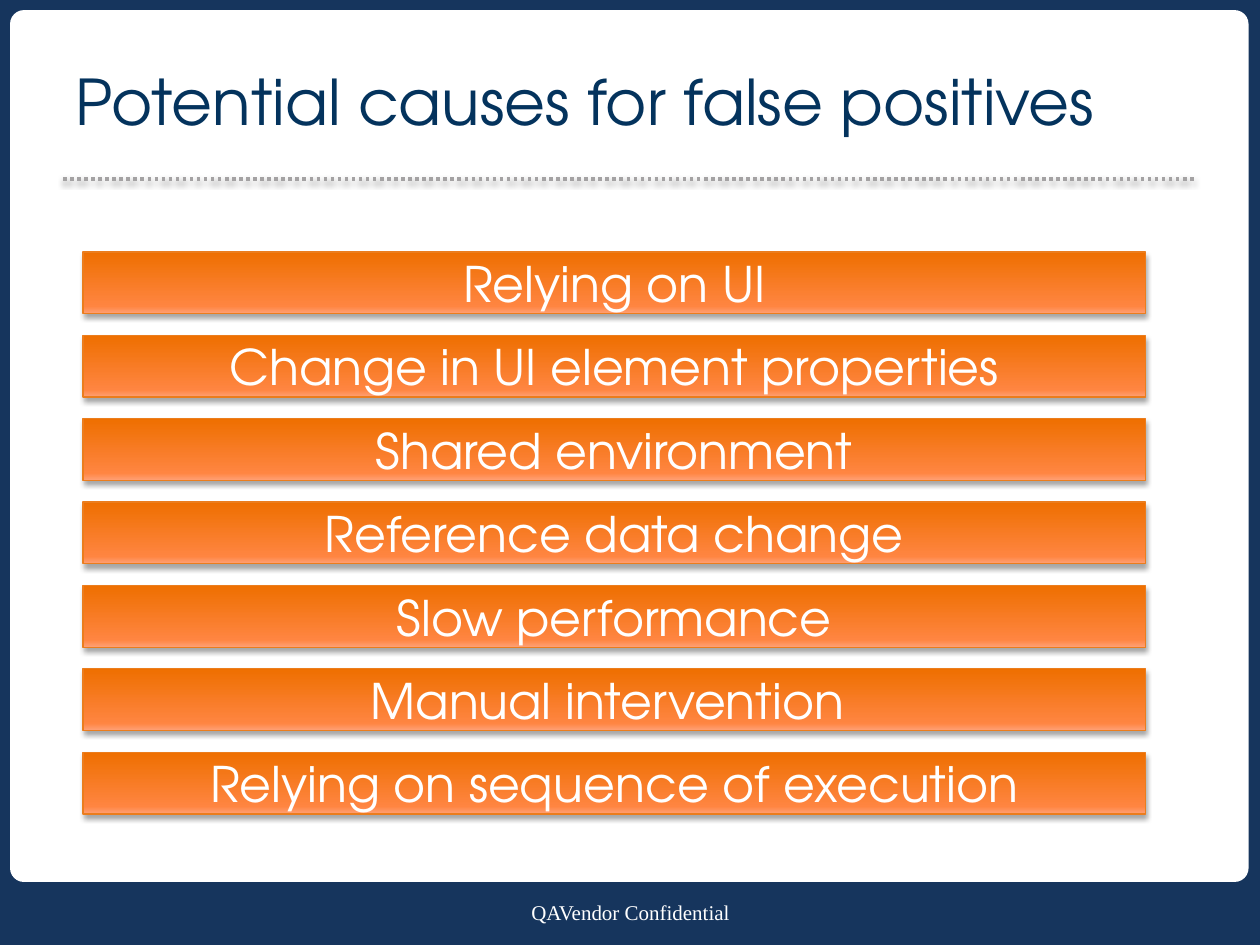
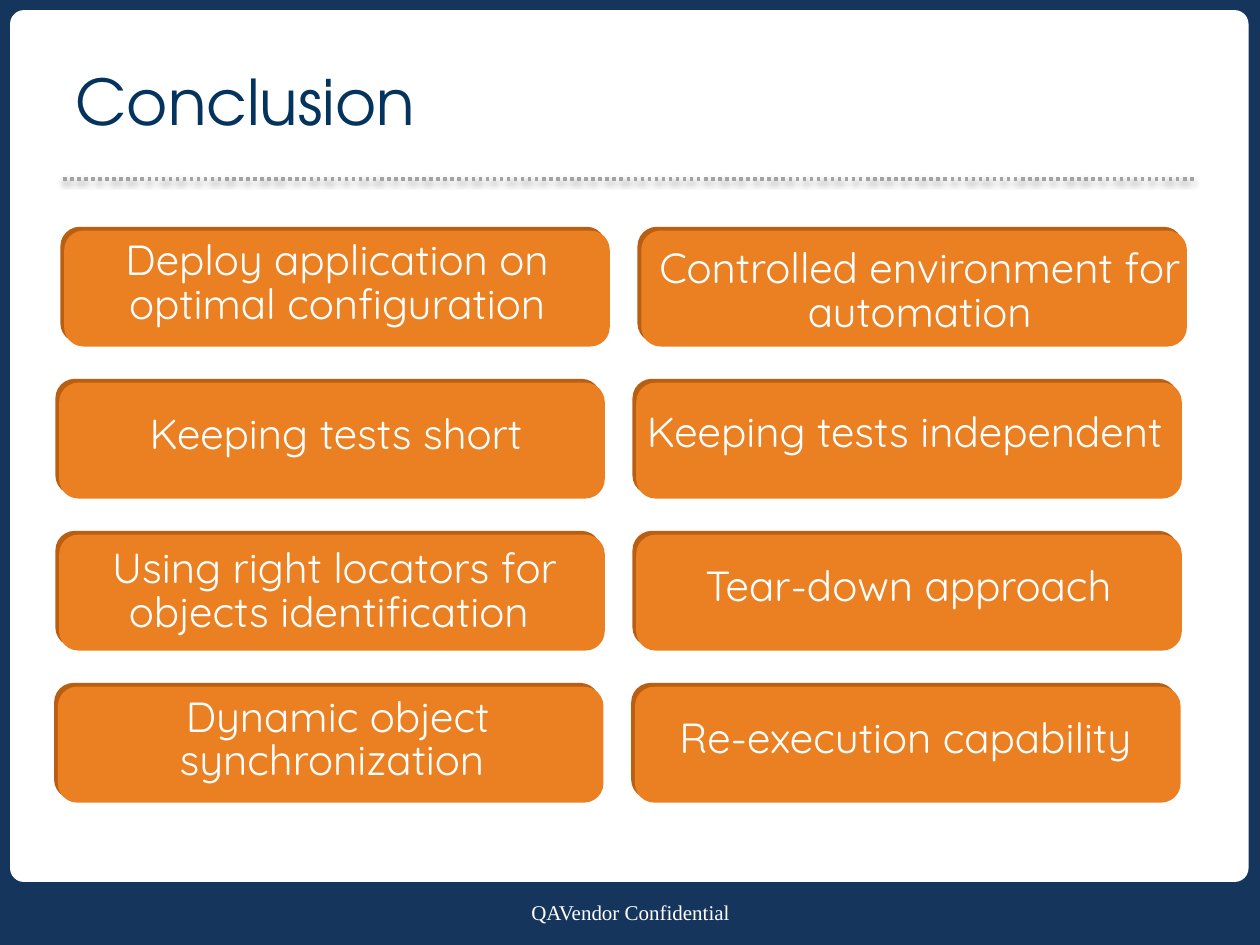
from copy import deepcopy

from lxml.etree import SubElement
from pptx import Presentation
from pptx.dml.color import RGBColor
from pptx.enum.dml import MSO_LINE
from pptx.enum.shapes import MSO_CONNECTOR, MSO_SHAPE
from pptx.enum.text import MSO_ANCHOR, MSO_AUTO_SIZE, PP_ALIGN
from pptx.oxml.ns import qn
from pptx.util import Inches, Pt

COLORS = {
    "navy": "16355D",
    "title": "04335D",
    "white": "FFFFFF",
    "rule": "A4A2A3",
    "bar_line": "EB7D1D",
    "card": "EB8023",
    "card_edge": "BA5F11",
    "shadow": "000000",
}
BAR_GRADIENT = [(0, "FFA076"), (0.12, "FF8541"), (1, "EE6F00")]
TITLE_FONT = "TeX Gyre Adventor"
CARD_FONT = "Quicksand"
FOOTER_FONT = "Times New Roman"
FOOTER = "QAVendor Confidential"

CAUSES = [
    "Relying on UI",
    "Change in UI element properties",
    "Shared environment",
    "Reference data change",
    "Slow performance",
    "Manual intervention ",
    "Relying on sequence of execution",
]

# Each row: left edge, then (text, text left, text top, text width) per column
CONCLUSIONS = [
    (0.48, [("Deploy application on optimal configuration", 0.52, 1.86, 4.31),
            ("Controlled environment for automation", 5.12, 1.92, 4.36)]),
    (0.44, [("Keeping tests short", 0.49, 3.24, 4.35),
            ("Keeping tests independent", 5, 3.22, 4.36)]),
    (0.44, [("Using right locators for objects identification ", 0.49, 4.3, 4.33),
            ("Tear-down approach", 5.03, 4.44, 4.36)]),
    (0.43, [("Dynamic object synchronization ", 0.5, 5.48, 4.36),
            ("Re-execution capability", 5.02, 5.65, 4.33)]),
]


def color(name):
    return RGBColor.from_string(COLORS[name])


class Deck:
    def __init__(self):
        self.presentation = Presentation()
        self.presentation.slide_width = Inches(10)
        self.presentation.slide_height = Inches(7.5)
        self.slide = None

    def add_slide(self, title):
        layout = self.presentation.slide_layouts[5]
        self.slide = self.presentation.slides.add_slide(layout)
        self.frame()
        self.title(title)

    def frame(self):
        # Navy border, white panel, dotted rule and footer
        self.shape(MSO_SHAPE.RECTANGLE, 0, 0, 10, 7.5, "navy")
        panel = self.shape(MSO_SHAPE.ROUNDED_RECTANGLE, 0.08, 0.08, 9.83, 6.92, "white")
        panel.adjustments[0] = 0.016
        rule = self.slide.shapes.add_connector(
            MSO_CONNECTOR.STRAIGHT, Inches(0.5), Inches(1.42), Inches(9.5), Inches(1.42))
        rule.line.color.rgb = color("rule")
        rule.line.width = Pt(2)
        rule.line.dash_style = MSO_LINE.ROUND_DOT
        self.shadow(rule)
        footer = self.text_box(3.42, 7, 3.17, 0.48)
        footer.vertical_anchor = MSO_ANCHOR.MIDDLE
        self.add_text(footer, FOOTER, FOOTER_FONT, 12)

    def title(self, text):
        title = self.slide.shapes.title
        title.left, title.top = Inches(0.5), Inches(0.17)
        title.width, title.height = Inches(9), Inches(1.25)
        title.text_frame.vertical_anchor = MSO_ANCHOR.MIDDLE
        self.add_text(title.text_frame, text, TITLE_FONT, 36, "title", PP_ALIGN.LEFT)
        # Bring the title in front of the panel
        title.element.getparent().append(title.element)

    def shape(self, kind, left, top, width, height, fill=None):
        shape = self.slide.shapes.add_shape(
            kind, Inches(left), Inches(top), Inches(width), Inches(height))
        shape.shadow.inherit = False
        shape.line.fill.background()
        if fill:
            shape.fill.solid()
            shape.fill.fore_color.rgb = color(fill)
        return shape

    def shadow(self, shape):
        properties = shape.element.spPr
        effects = properties.find(qn("a:effectLst"))
        if effects is None:
            effects = SubElement(properties, qn("a:effectLst"))
        outer = SubElement(effects, qn("a:outerShdw"), blurRad=str(Pt(3.1)),
                           dist=str(Pt(1.8)), dir="5400000", rotWithShape="0")
        tint = SubElement(outer, qn("a:srgbClr"), val=COLORS["shadow"])
        SubElement(tint, qn("a:alpha"), val="35000")

    def text_box(self, left, top, width, height):
        box = self.slide.shapes.add_textbox(
            Inches(left), Inches(top), Inches(width), Inches(height))
        box.text_frame.word_wrap = True
        return box.text_frame

    def add_text(self, frame, text, font, size, ink="white", align=PP_ALIGN.CENTER):
        paragraph = frame.paragraphs[0]
        paragraph.alignment = align
        run = paragraph.add_run()
        run.text = text
        run.font.name = font
        run.font.size = Pt(size)
        run.font.color.rgb = color(ink)
        return paragraph

    def bar(self, text, left, top, width, height):
        bar = self.shape(MSO_SHAPE.RECTANGLE, left, top, width, height)
        bar.fill.gradient()
        bar.fill.gradient_angle = 90
        stops = bar.element.spPr.find(".//" + qn("a:gsLst"))
        stops.append(deepcopy(stops[0]))
        for stop, (position, tint) in zip(bar.fill.gradient_stops, BAR_GRADIENT):
            stop.position = position
            stop.color.rgb = RGBColor.from_string(tint)
        bar.line.color.rgb = color("bar_line")
        bar.line.width = Pt(0.75)
        self.shadow(bar)
        bar.text_frame.vertical_anchor = MSO_ANCHOR.MIDDLE
        paragraph = self.add_text(bar.text_frame, text, TITLE_FONT, 28)
        paragraph.space_before = Pt(32)

    def card(self, left, top):
        for offset, fill in ((0, "card_edge"), (0.03, "card")):
            self.shape(MSO_SHAPE.ROUNDED_RECTANGLE,
                       left + offset, top + offset, 4.33, 0.92, fill)

    def card_text(self, text, left, top, width):
        frame = self.text_box(left, top, width, 0.45)
        frame.auto_size = MSO_AUTO_SIZE.SHAPE_TO_FIT_TEXT
        paragraph = self.add_text(frame, text, CARD_FONT, 24)
        paragraph.line_spacing = Pt(25)
        paragraph.space_before = Pt(32)


def main():
    deck = Deck()

    # Causes: equally spaced bars
    deck.add_slide("Potential causes for false positives")
    bar_pitch = (5.97 - 2) / (len(CAUSES) - 1)
    for index, cause in enumerate(CAUSES):
        deck.bar(cause, 0.66, 2 + index * bar_pitch, 8.43, 0.49)

    # Conclusion: two columns of cards
    deck.add_slide("Conclusion")
    row_pitch = (5.42 - 1.8) / (len(CONCLUSIONS) - 1)
    for row, (row_left, cards) in enumerate(CONCLUSIONS):
        for column, (text, left, top, width) in enumerate(cards):
            deck.card(row_left + column * 4.58, 1.8 + row * row_pitch)
            deck.card_text(text, left, top, width)

    deck.presentation.save("out.pptx")


if __name__ == "__main__":
    main()
